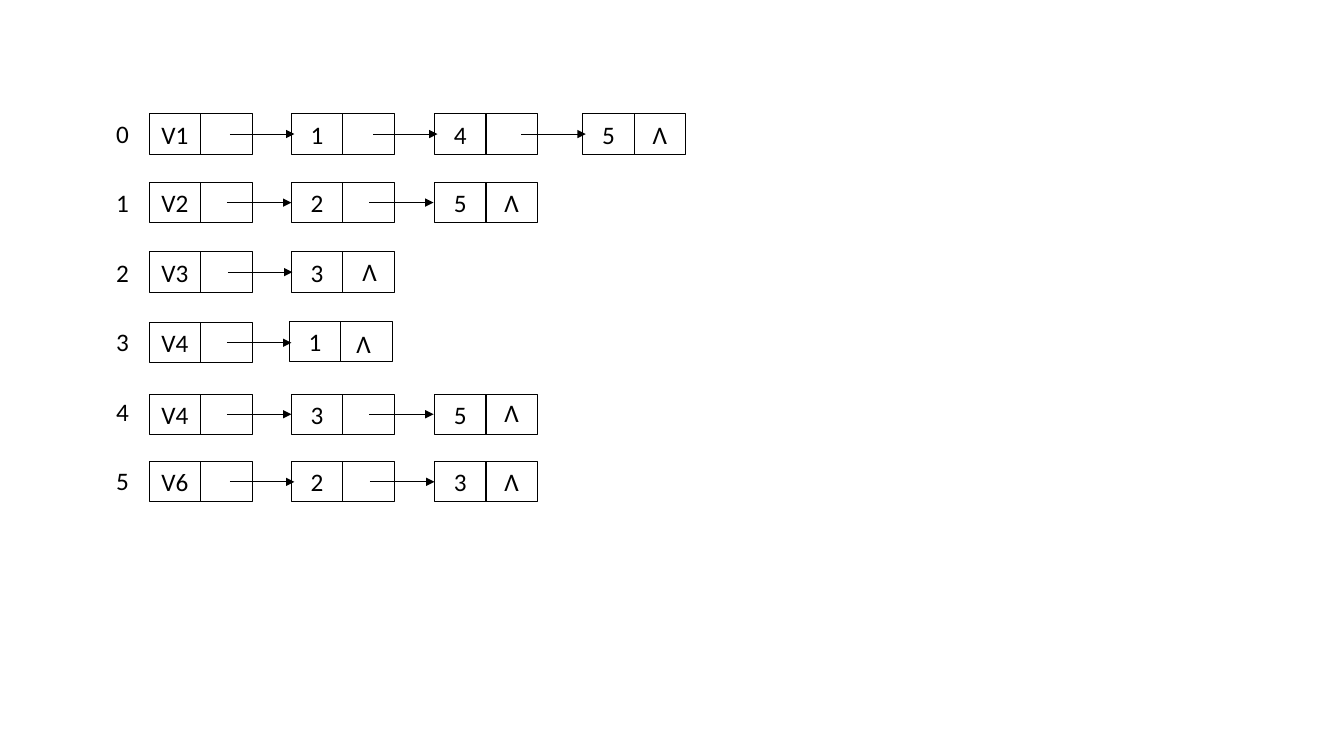
from lxml import etree
from pptx import Presentation
from pptx.dml.color import RGBColor
from pptx.enum import shapes, text
from pptx.oxml.ns import qn
from pptx.util import Inches, Pt

COLORS = {"ink": "000000", "paper": "FFFFFF"}
FONT = "Calibri"
END = "Λ"

ROWS = [
    {"top": 1.13, "nodes": ["V1", "1", "4", "5"], "arrows": [2.28, 3.7, 5.17]},
    {"top": 1.81, "nodes": ["V2", "2", "5"], "arrows": [2.25, 3.66]},
    {"top": 2.5, "nodes": ["V3", "3"], "arrows": [2.26], "loose_end": (3.49, 2.49)},
    {"top": 3.2, "nodes": ["V4", "1"], "arrows": [2.25], "loose_end": (3.43, 3.21)},
    {"top": 3.91, "nodes": ["V4", "3", "5"], "arrows": [2.25, 3.66], "loose_end": (4.9, 3.89)},
    {"top": 4.58, "nodes": ["V6", "2", "3"], "arrows": [2.28, 3.67]},
]
NODE_LEFTS = [1.48, 2.89, 4.31, 5.78]
NODE_SHIFTS = {(3, 1): (-0.02, -0.01)}
CELL_WIDTH, CELL_HEIGHT = 0.51, 0.4
LABEL_LEFT, LABEL_TOP, LABEL_WIDTH, LABEL_PITCH = 1.03, 1.12, 0.37, 0.69
MARK_WIDTH = 0.35
ARROW_LENGTH = 0.64


def color(name):
    return RGBColor.from_string(COLORS[name])


def write(shape, words):
    frame = shape.text_frame
    frame.vertical_anchor = text.MSO_ANCHOR.TOP
    frame.auto_size = text.MSO_AUTO_SIZE.SHAPE_TO_FIT_TEXT
    paragraph = frame.paragraphs[0]
    paragraph.text = words
    paragraph.alignment = text.PP_ALIGN.CENTER
    paragraph.font.name = FONT
    paragraph.font.size = Pt(18)
    paragraph.font.color.rgb = color("ink")


def add_box(slide, left, top, width, words, outline="ink"):
    box = slide.shapes.add_shape(
        shapes.MSO_SHAPE.RECTANGLE,
        Inches(left), Inches(top), Inches(width), Inches(CELL_HEIGHT))
    box.shadow.inherit = False
    box.fill.background()
    box.line.color.rgb = color(outline)
    box.line.width = Pt(0.75)
    if words:
        write(box, words)


def add_mark(slide, left, top):
    mark = slide.shapes.add_textbox(
        Inches(left), Inches(top), Inches(MARK_WIDTH), Inches(CELL_HEIGHT))
    mark.text_frame.word_wrap = False
    write(mark, END)


def add_arrow(slide, left, top):
    arrow = slide.shapes.add_connector(
        shapes.MSO_CONNECTOR.STRAIGHT,
        Inches(left), Inches(top), Inches(left + ARROW_LENGTH), Inches(top))
    arrow.line.color.rgb = color("ink")
    arrow.line.width = Pt(0.5)
    etree.SubElement(arrow.line._get_or_add_ln(), qn("a:tailEnd"), type="triangle")
    etree.SubElement(arrow._element.spPr, qn("a:effectLst"))


def add_row(slide, index, row):
    add_box(slide, LABEL_LEFT, LABEL_TOP + index * LABEL_PITCH, LABEL_WIDTH,
            str(index), "paper")
    last = len(row["nodes"]) - 1
    for column, value in enumerate(row["nodes"]):
        shift_x, shift_y = NODE_SHIFTS.get((index, column), (0, 0))
        left, top = NODE_LEFTS[column] + shift_x, row["top"] + shift_y
        pointer = END if column == last and "loose_end" not in row else ""
        add_box(slide, left, top, CELL_WIDTH, value)
        add_box(slide, left + CELL_WIDTH, top, CELL_WIDTH, pointer)
    if "loose_end" in row:
        add_mark(slide, *row["loose_end"])
    for start in row["arrows"]:
        add_arrow(slide, start, row["top"] + CELL_HEIGHT / 2)


def main():
    presentation = Presentation()
    presentation.slide_width = Inches(13.33)
    presentation.slide_height = Inches(7.5)
    slide = presentation.slides.add_slide(presentation.slide_layouts[6])
    for index, row in enumerate(ROWS):
        add_row(slide, index, row)
    presentation.save("out.pptx")


if __name__ == "__main__":
    main()
